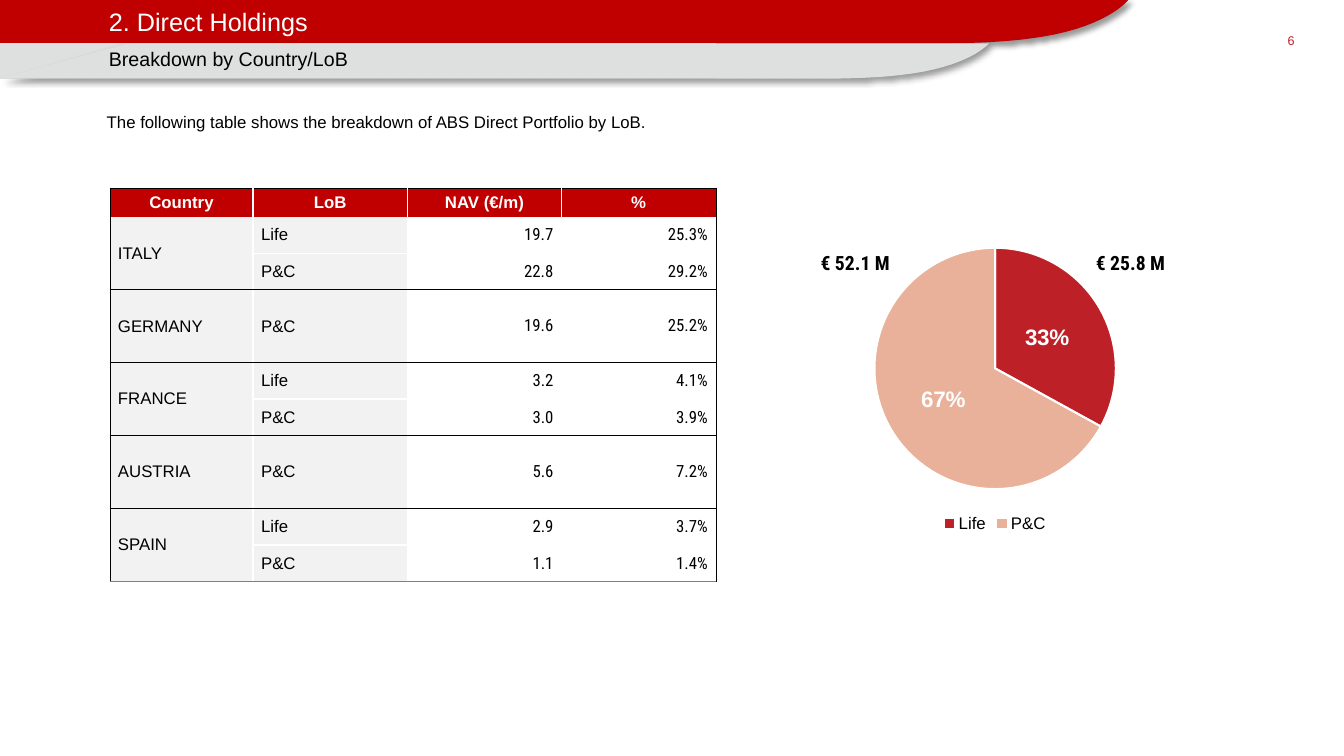
from lxml.etree import SubElement
from pptx import Presentation
from pptx.chart.data import CategoryChartData
from pptx.dml.color import RGBColor
from pptx.enum.chart import XL_CHART_TYPE as ChartType
from pptx.enum.chart import XL_LABEL_POSITION as LabelPosition
from pptx.enum.chart import XL_LEGEND_POSITION as LegendPosition
from pptx.enum.shapes import MSO_SHAPE as Shape
from pptx.enum.text import MSO_ANCHOR as Anchor, PP_ALIGN as Align
from pptx.oxml.ns import qn
from pptx.util import Inches, Pt

WIDTH, HEIGHT = 13.33, 7.5
RED, GREY, BLACK, WHITE = "C00000", "DEDFDF", "000000", "FFFFFF"
CRIMSON, SALMON, PALE, DARK_GREY = "BD2027", "E9B09A", "F2F2F2", "7F7F7F"
SANS, NARROW = "Arial", "Roboto Condensed"
NO_STYLE = "{2D5ABB26-0587-4C30-8999-92F81FD0307C}"
THIN_BLACK, THIN_WHITE, LAST_LINE = (BLACK, 0.5), (WHITE, 1), (DARK_GREY, 1)

HEADINGS = ["Country", "LoB", "NAV (€/m)", "%"]
HOLDINGS = {
    "ITALY": [("Life", "19.7", "25.3%"), ("P&C", "22.8", "29.2%")],
    "GERMANY": [("P&C", "19.6", "25.2%")],
    "FRANCE": [("Life", "3.2", "4.1%"), ("P&C", "3.0", "3.9%")],
    "AUSTRIA": [("P&C", "5.6", "7.2%")],
    "SPAIN": [("Life", "2.9", "3.7%"), ("P&C", "1.1", "1.4%")],
}
LOB_SHARES = {"Life": (0.33, CRIMSON), "P&C": (0.67, SALMON)}


def color(code):
    return RGBColor.from_string(code)


def paint(fill, code):
    fill.solid()
    fill.fore_color.rgb = color(code)


def set_font(font, size, code=BLACK, name=SANS, bold=False):
    for key, value in {"size": Pt(size), "name": name, "bold": bold}.items():
        setattr(font, key, value)
    font.color.rgb = color(code)


def write(frame, text, size, align=Align.LEFT, **style):
    para = frame.paragraphs[0]
    para.alignment = align
    span = para.add_run()
    span.text = text
    set_font(span.font, size, **style)


def add_label(page, box, text, size, margins=None, **style):
    frame = page.shapes.add_textbox(*map(Inches, box)).text_frame
    frame.word_wrap = True
    for side, inset in (margins or {}).items():
        setattr(frame, side, Inches(inset))
    write(frame, text, size, **style)


def bezier(points, steps=16):
    """Return points along a cubic curve, without its start."""
    weights = [((1 - t) ** 3, 3 * t * (1 - t) ** 2, 3 * t * t * (1 - t), t ** 3)
               for t in (step / steps for step in range(1, steps + 1))]
    return [tuple(sum(w * p[axis] for w, p in zip(row, points)) for axis in (0, 1))
            for row in weights]


def add_shadow(shape):
    effects = SubElement(shape._element.spPr, qn("a:effectLst"))
    shadow = SubElement(effects, qn("a:outerShdw"), blurRad=str(Pt(4)),
                        dist=str(Pt(3)), dir="2700000", algn="tl", rotWithShape="0")
    black = SubElement(shadow, qn("a:srgbClr"), val=BLACK)
    SubElement(black, qn("a:alpha"), val="40000")


def add_banner(page, box, base_width, code, text, size, text_color, bottom=0.05):
    """Draw a band with a curved right end over a square left base."""
    left, top, width, height = box
    base = page.shapes.add_shape(
        Shape.PARALLELOGRAM, *map(Inches, (left, top, base_width, height)))
    base.adjustments[0] = 0
    base.shadow.inherit = False

    tip, bend, foot = (1, 0), (0.91, 0.9), (0.84, 1)
    outline = [(0.13, 0), tip, *bezier([tip, tip, (0.98, 0.69), bend]),
               *bezier([bend, (0.88, 1), foot, foot]), (0, 1)]
    start, *rest = [(Inches(left + x * width), Inches(top + y * height))
                    for x, y in outline]
    builder = page.shapes.build_freeform(*start)
    builder.add_line_segments(rest)
    band = builder.convert_to_shape()
    for shape in (base, band):
        paint(shape.fill, code)
        shape.line.fill.background()
    add_shadow(band)

    frame = band.text_frame
    layout = {"margin_left": Inches(1.08), "margin_top": 0, "margin_right": 0,
              "margin_bottom": Inches(bottom), "vertical_anchor": Anchor.MIDDLE,
              "word_wrap": True}
    for key, value in layout.items():
        setattr(frame, key, value)
    write(frame, text, size, code=text_color)


def set_cell(cell, text, fill, borders, **style):
    for key, inset in {"left": 0.08, "right": 0.08, "top": 0.04, "bottom": 0.04}.items():
        setattr(cell, "margin_" + key, Inches(inset))
    cell.vertical_anchor = Anchor.MIDDLE
    props = cell._tc.get_or_add_tcPr()
    for side in "LRTB":
        if side in borders:
            code, points = borders[side]
            line = SubElement(props, qn("a:ln" + side), w=str(Pt(points)))
            solid = SubElement(line, qn("a:solidFill"))
            SubElement(solid, qn("a:srgbClr"), val=code)
    paint(cell.fill, fill)
    if text:
        write(cell.text_frame, text, 12, **style)


def add_holdings_table(page, box, header_height=0.28, country_width=1.42):
    width, height = box[2:]
    group_height = (height - header_height) / len(HOLDINGS)
    row_heights = [header_height] + [group_height / len(lines)
                                     for lines in HOLDINGS.values() for _ in lines]
    last = len(HEADINGS) - 1
    table = page.shapes.add_table(
        len(row_heights), len(HEADINGS), *map(Inches, box)).table
    table.first_row = table.horz_banding = False
    table._tbl.tblPr.find(qn("a:tableStyleId")).text = NO_STYLE
    for row, row_height in zip(table.rows, row_heights):
        row.height = Inches(row_height)
    for index, column in enumerate(table.columns):
        column.width = Inches((width - country_width) / last if index else country_width)

    def sides(column):
        return {"L": THIN_WHITE if column else THIN_BLACK,
                "R": THIN_BLACK if column == last else THIN_WHITE}

    for column, heading in enumerate(HEADINGS):
        set_cell(table.cell(0, column), heading, RED, {**sides(column), "T": THIN_BLACK},
                 align=Align.CENTER, code=WHITE, bold=True)
    row, above = 1, None
    for country, lines in HOLDINGS.items():
        closing = LAST_LINE if row + len(lines) == len(row_heights) else THIN_BLACK
        first = row
        for line in lines:
            below = closing if row == first + len(lines) - 1 else THIN_WHITE
            for column, text in enumerate((country if row == first else "", *line)):
                borders = {**sides(column), "B": below if column else closing}
                if above:
                    borders["T"] = above
                numeric = column > 1
                set_cell(table.cell(row, column), text, WHITE if numeric else PALE,
                         borders, align=Align.RIGHT if numeric else Align.LEFT,
                         name=NARROW if numeric else SANS)
            row, above = row + 1, below
        if len(lines) > 1:
            table.cell(first, 0).merge(table.cell(row - 1, 0))


def add_lob_pie(page, box):
    data = CategoryChartData(number_format="0%")
    data.categories = list(LOB_SHARES)
    data.add_series("Series 1", [share for share, _ in LOB_SHARES.values()])
    chart = page.shapes.add_chart(ChartType.PIE, *map(Inches, box), data).chart
    set_font(chart.font, 10)
    chart.has_title = False
    chart.has_legend = True
    chart.legend.position = LegendPosition.BOTTOM
    chart.legend.include_in_layout = False
    set_font(chart.legend.font, 12)
    plot = chart.plots[0]
    plot.vary_by_categories = True
    for index, (_, code) in enumerate(LOB_SHARES.values()):
        look = plot.series[0].points[index].format
        paint(look.fill, code)
        look.line.color.rgb = color(WHITE)
        look.line.width = Pt(1.5)
    labels = plot.series[0].data_labels
    for key, value in {"show_value": True, "position": LabelPosition.CENTER,
                       "number_format": "0%", "number_format_is_linked": False}.items():
        setattr(labels, key, value)
    set_font(labels.font, 16, WHITE, bold=True)
    for x, amount in ((0.68, "€ 25.8 M"), (0.134, "€ 52.1 M")):
        add_label(page, (box[0] + round(x * box[2], 2), box[1] + 0.12, 1.18, 0.34),
                  amount, 14, name=NARROW, bold=True)


def main():
    deck = Presentation()
    deck.slide_width, deck.slide_height = Inches(WIDTH), Inches(HEIGHT)
    page = deck.slides.add_slide(deck.slide_layouts[6])
    no_margins = dict.fromkeys(
        ("margin_left", "margin_right", "margin_top", "margin_bottom"), 0)
    add_label(page, (12.55, 0.33, 0.29, 0.2), "6", 9, no_margins,
              align=Align.RIGHT, code=CRIMSON)
    add_banner(page, (0, 0, 11.19, 0.43), 1.48, RED, "2. Direct Holdings", 18, WHITE, 0)
    add_banner(page, (0, 0.43, 9.81, 0.35), 7.1, GREY, "Breakdown by Country/LoB", 14, BLACK)
    add_holdings_table(page, (1.09, 1.87, 6.01, 3.9))
    add_label(page, (0.96, 1.06, 8.91, 0.3),
              "The following table shows the breakdown of ABS Direct Portfolio by LoB.",
              12, align=Align.JUSTIFY)
    add_lob_pie(page, (7.37, 2.32, 5, 3))
    deck.save("out.pptx")


if __name__ == "__main__":
    main()
